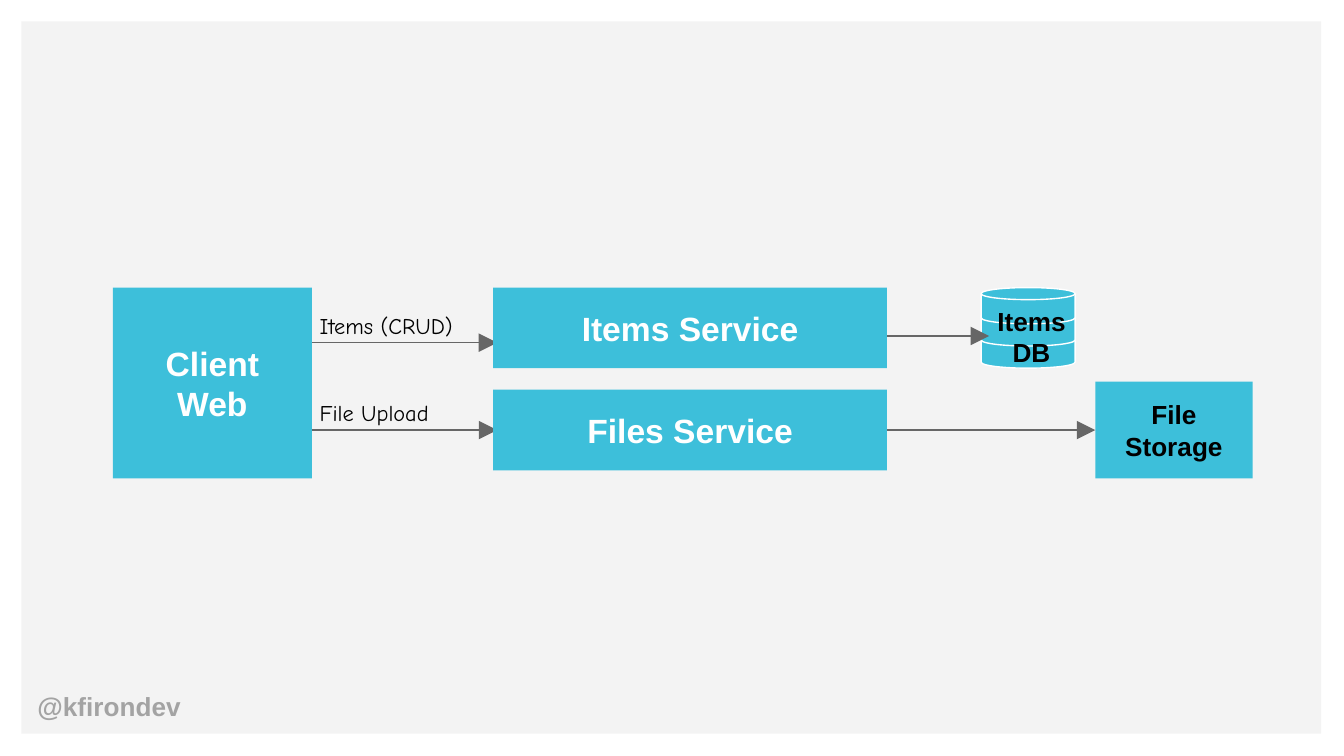
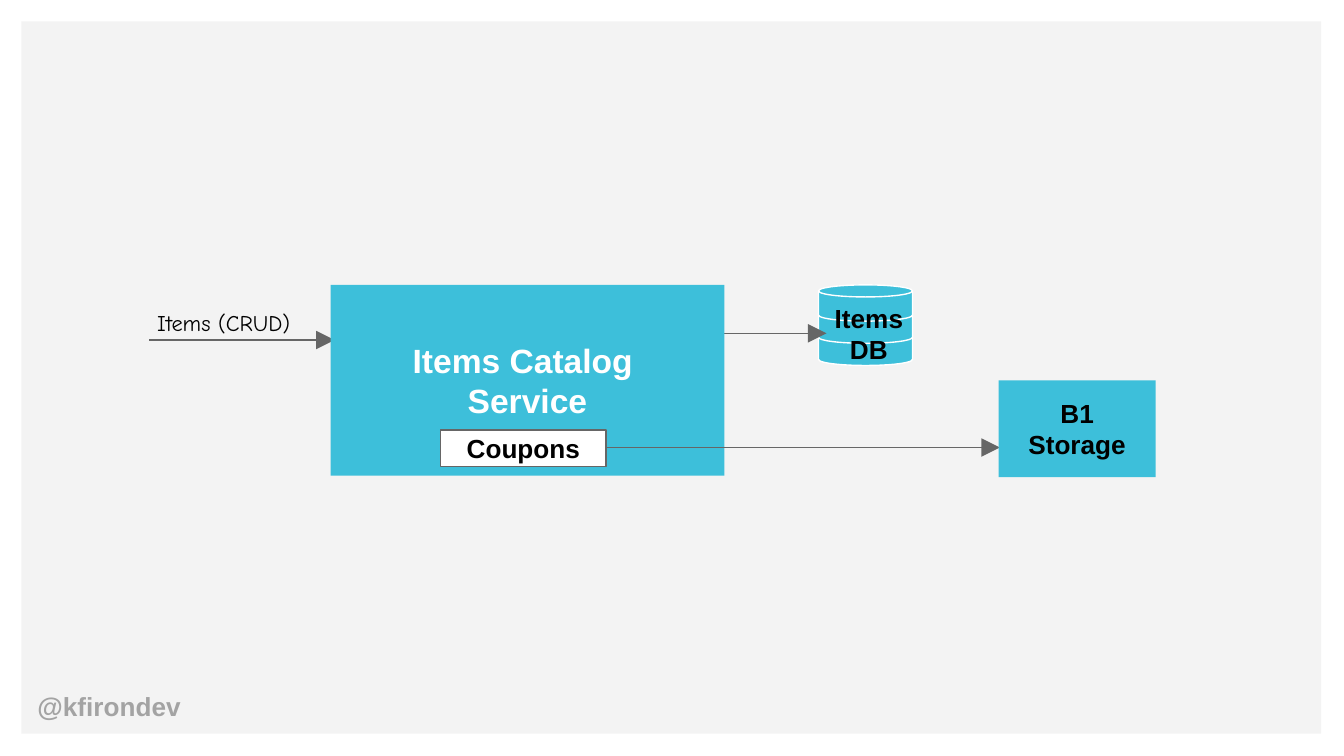
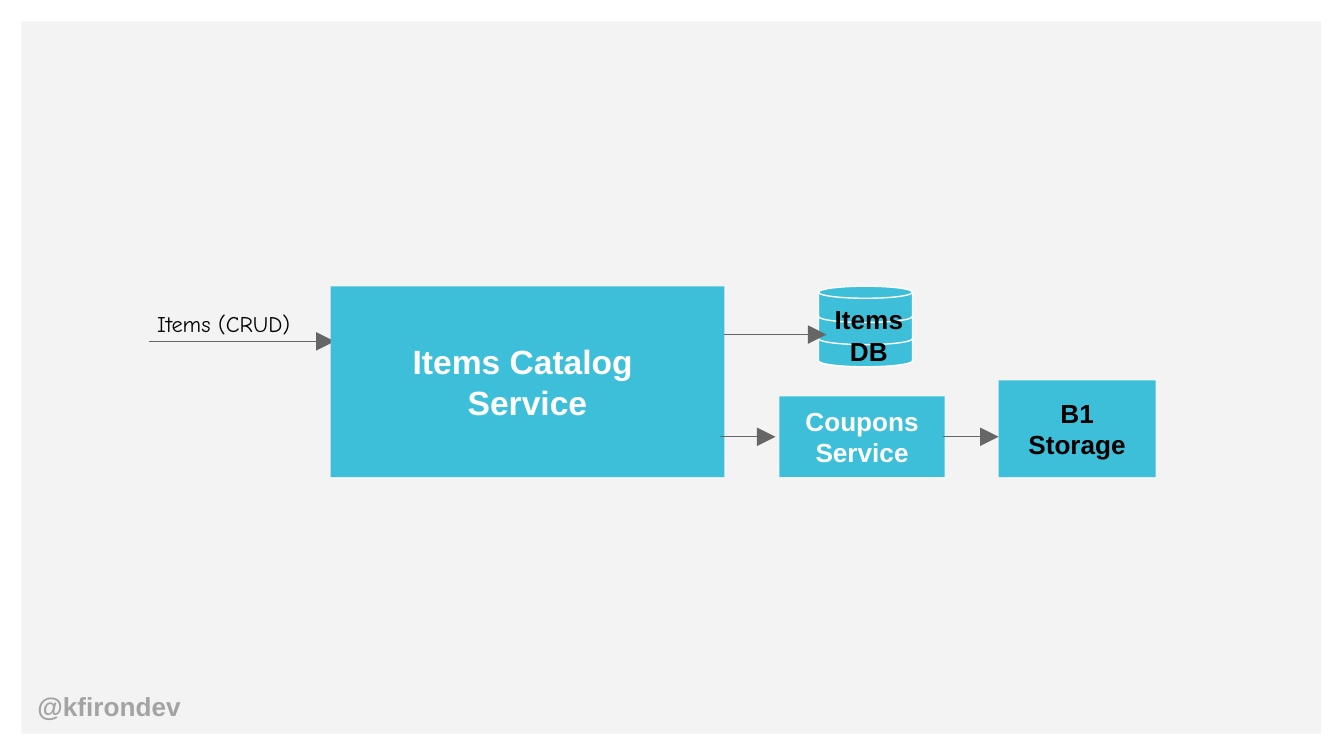
from pptx import Presentation
from pptx.dml.color import RGBColor
from pptx.enum.shapes import MSO_CONNECTOR, MSO_SHAPE
from pptx.enum.text import MSO_ANCHOR, PP_ALIGN
from pptx.oxml.ns import qn
from pptx.util import Inches, Pt
from lxml import etree

RECT, DISK = MSO_SHAPE.RECTANGLE, MSO_SHAPE.FLOWCHART_MAGNETIC_DISK
STRAIGHT = MSO_CONNECTOR.STRAIGHT
LEFT, CENTER = PP_ALIGN.LEFT, PP_ALIGN.CENTER
TOP, MIDDLE = MSO_ANCHOR.TOP, MSO_ANCHOR.MIDDLE

WHITE = RGBColor(0xFF, 0xFF, 0xFF)
BLACK = RGBColor(0x00, 0x00, 0x00)
PANEL = RGBColor(0xF3, 0xF3, 0xF3)
TEAL = RGBColor(0x3D, 0xBF, 0xDA)
GRAY = RGBColor(0x66, 0x66, 0x66)
LIGHT_GRAY = RGBColor(0xA3, 0xA3, 0xA3)

BOLD_FONT, LABEL_FONT = "Arial", "Comic Neue"


def add_box(s, x, y, w, h, text="", size=14, color=BLACK, fill=None, line=None,
            shape=RECT, font=BOLD_FONT, align=CENTER, inset=0.1):
    """Add a filled shape with centred text, or a plain text box when fill is None."""
    at = Inches(x), Inches(y), Inches(w), Inches(h)
    if fill is None:
        sp = s.shapes.add_textbox(*at)
    else:
        sp = s.shapes.add_shape(shape, *at)
        sp.shadow.inherit = False
        sp.fill.solid()
        sp.fill.fore_color.rgb = fill
        if line is None:
            sp.line.fill.background()
        else:
            sp.line.color.rgb = line
            sp.line.width = Pt(0.75)
    if text:
        tf = sp.text_frame
        tf.word_wrap = True
        tf.vertical_anchor = TOP if fill is None else MIDDLE
        tf.margin_left = tf.margin_right = Inches(0.1)
        tf.margin_top = tf.margin_bottom = Inches(inset)
        p = tf.paragraphs[0]
        p.text = text
        p.alignment = align
        for r in p.runs:
            r.font.name = font
            r.font.size = Pt(size)
            r.font.bold = font == BOLD_FONT
            r.font.color.rgb = color


def add_arrow(s, x1, x2, y):
    c = s.shapes.add_connector(STRAIGHT, Inches(x1), Inches(y), Inches(x2), Inches(y))
    c.line.color.rgb = GRAY
    c.line.width = Pt(0.75)
    etree.SubElement(c.line._get_or_add_ln(), qn("a:tailEnd"), type="triangle", w="lg", len="lg")
    etree.SubElement(c._element.spPr, qn("a:effectLst"))


prs = Presentation()
prs.slide_width, prs.slide_height = Inches(10), Inches(5.625)

# Each slide: left edge and top of the main service, its text and height
services = [
    (3.67, 2.14, "Items Service", 0.6),
    (2.46, 2.12, "Items Catalog \vService", 1.42),
    (2.46, 2.13, "Items Catalog \vService", 1.42),
]

slides = []
for x, y, name, height in services:
    s = prs.slides.add_slide(prs.slide_layouts[6])
    slides.append(s)
    add_box(s, 0.16, 0.16, 9.67, 5.3, fill=PANEL)

    # Items database: three stacked disks, lowest first
    db_x = x + 3.63
    for level in (2, 1, 0):
        add_box(s, db_x, y + level * 0.165, 0.7, 0.27, fill=TEAL, line=WHITE, shape=DISK)

    add_box(s, x - 1.39, y + 0.08, 1.85, 0.66, "Items (CRUD)", 12, font=LABEL_FONT, align=LEFT)
    add_arrow(s, x - 1.35, x + 0.03, y + 0.41)
    add_arrow(s, x + 2.9, db_x + 0.06, y + 0.36)
    add_box(s, db_x - 0.1, y + 0.03, 0.95, 0.66, "Items DB")
    add_box(s, x, y, 2.93, height, name, 18, WHITE, TEAL)
    add_box(s, 0.18, 5.09, 1.43, 0.34, "@kfirondev", 14, LIGHT_GRAY, align=LEFT, inset=0.05)

# Slide 1: separate services for items and files
s = slides[0]
add_box(s, 2.28, 2.87, 1.85, 0.66, "File Upload", 12, font=LABEL_FONT, align=LEFT)
add_box(s, 0.84, 2.14, 1.48, 1.42, "Client Web", 18, WHITE, TEAL)
add_arrow(s, 2.32, 3.7, 3.2)
add_arrow(s, 6.57, 8.15, 3.2)
add_box(s, 3.67, 2.9, 2.93, 0.6, "Files Service", 18, WHITE, TEAL)
add_box(s, 8.15, 2.84, 1.17, 0.72, "File Storage", fill=TEAL)

# Slide 2: coupons inside the catalog service
s = slides[1]
add_box(s, 3.28, 3.2, 1.23, 0.27, "Coupons", fill=WHITE, line=GRAY)
add_arrow(s, 4.51, 7.44, 3.33)

# Slide 3: coupons as a service of their own
s = slides[2]
add_box(s, 5.8, 2.95, 1.23, 0.6, "Coupons Service", 14, WHITE, TEAL)
add_arrow(s, 5.36, 5.77, 3.25)
add_arrow(s, 7.02, 7.43, 3.25)

for s in slides[1:]:
    add_box(s, 7.43, 2.83, 1.17, 0.72, "B1 Storage", fill=TEAL)

prs.save("out.pptx")
